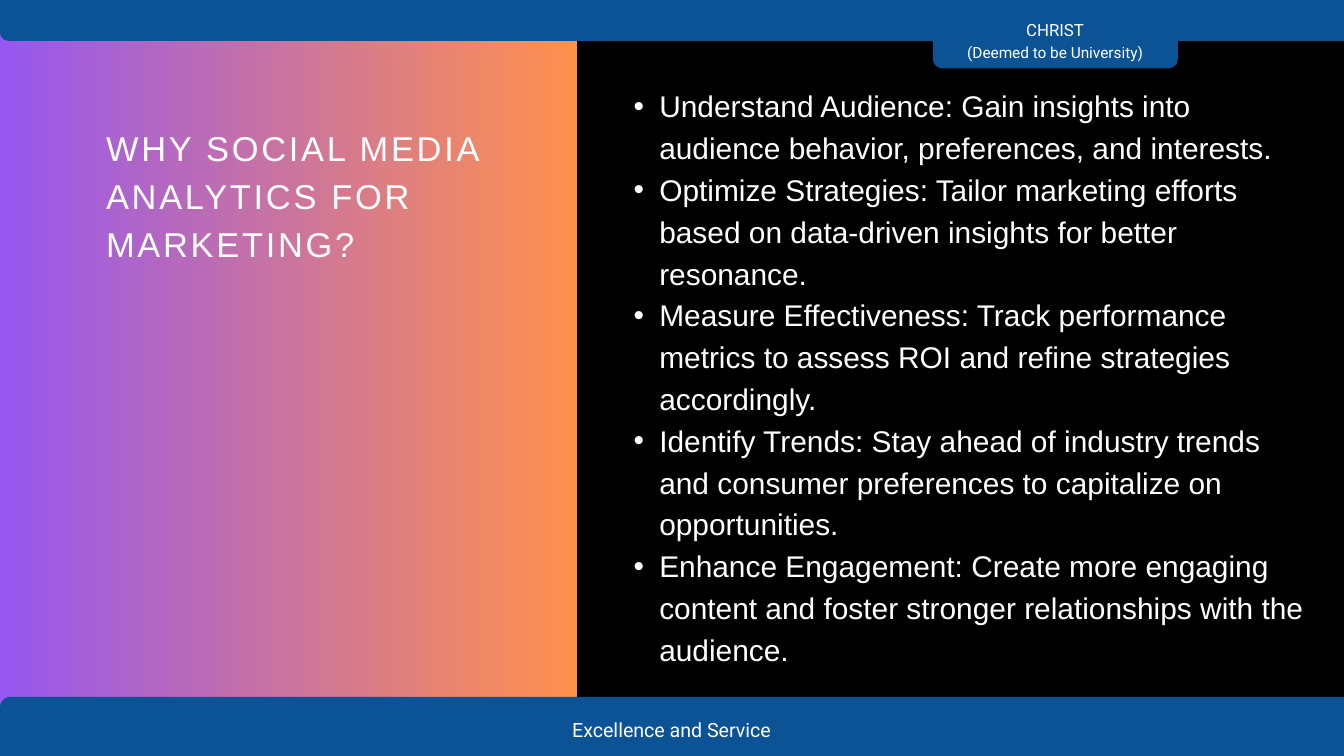
import pptx
import pptx.dml.color
import pptx.enum.shapes
import pptx.enum.text
import pptx.oxml
import pptx.oxml.ns
import pptx.util

Cm = pptx.util.Cm
Pt = pptx.util.Pt
SHAPES = pptx.enum.shapes.MSO_SHAPE
ALIGN = pptx.enum.text.PP_ALIGN

COLOURS = {
    "background": "000000",
    "band": "0B5394",
    "text": "FFFFFF",
    "gradient_start": "8C52FF",
    "gradient_end": "FF914D",
}

REASONS = [
    "Understand Audience: Gain insights into audience behavior, preferences, and interests.",
    "Optimize Strategies: Tailor marketing efforts based on data-driven insights for better resonance.",
    "Measure Effectiveness: Track performance metrics to assess ROI and refine strategies accordingly.",
    "Identify Trends: Stay ahead of industry trends and consumer preferences to capitalize on opportunities.",
    "Enhance Engagement: Create more engaging content and foster stronger relationships with the audience.",
]


def colour(name):
    return pptx.dml.color.RGBColor.from_string(COLOURS[name])


def add_plain_shape(page, kind, box):
    shape = page.shapes.add_shape(kind, *[Cm(length) for length in box])
    shape.shadow.inherit = False
    shape.line.fill.background()
    return shape


def add_band(page, box, top_radius=0, bottom_radius=0):
    band = add_plain_shape(page, SHAPES.ROUND_2_SAME_RECTANGLE, box)
    band.adjustments[0] = top_radius / box[3]
    band.adjustments[1] = bottom_radius / box[3]
    band.fill.solid()
    band.fill.fore_color.rgb = colour("band")


def add_bullet(para):
    properties = para._p.get_or_add_pPr()
    properties.set("marL", str(Cm(1.93)))
    properties.set("indent", str(-Cm(0.97)))
    for tag, name, value in (("a:buFont", "typeface", "Arial"), ("a:buChar", "char", "•")):
        element = pptx.oxml.parse_xml(f"<{tag} {pptx.oxml.ns.nsdecls('a')}/>")
        element.set(name, value)
        properties.append(element)


def add_text(page, box, lines, font, align=ALIGN.LEFT, bullets=False, tracking=0):
    frame = page.shapes.add_textbox(*[Cm(length) for length in box]).text_frame
    frame.word_wrap = True
    frame.margin_left = frame.margin_right = frame.margin_top = frame.margin_bottom = 0
    for index, (words, size, spacing) in enumerate(lines):
        para = frame.add_paragraph() if index else frame.paragraphs[0]
        para.text = words
        para.alignment = align
        para.line_spacing = Pt(spacing)
        if bullets:
            add_bullet(para)
        for span in para.runs:
            span.font.name = font
            span.font.size = Pt(size)
            span.font.color.rgb = colour("text")
            if tracking:
                span.font._element.set("spc", str(round(tracking * 100)))


def add_title_panel(page, box):
    left, top, width, height = box
    panel = add_plain_shape(page, SHAPES.RECTANGLE, box)
    panel.fill.gradient()
    panel.fill.gradient_angle = 0
    for stop, name in zip(panel.fill.gradient_stops, ("gradient_start", "gradient_end")):
        stop.color.rgb = colour(name)
    panel.fill.gradient_stops[0].position = 0
    panel.fill.gradient_stops[1].position = 1
    add_text(page, (left + 6.07, top + 6.07, 14.91, 5.33),
             [("WHY SOCIAL MEDIA ANALYTICS FOR MARKETING?", 36.9, 51.6)], "Arial", tracking=2.9)


def add_header(page, box):
    left, top, width, height = box
    tab_left = left + 35.26
    add_band(page, (tab_left, top + 0.56, 9.26, 2.64), bottom_radius=0.36)
    add_band(page, box, bottom_radius=0.33)
    add_text(page, (tab_left + 1.04, top + 1.19, 7.16, 1.27),
             [("CHRIST", 18, 25.9), ("(Deemed to be University)", 16.5, 23.8)],
             "Roboto", ALIGN.CENTER)


def add_footer(page, box):
    left, top, width, height = box
    add_band(page, box, top_radius=0.4)
    add_text(page, (left + 20.62, top + 0.79, 9.53, 0.51),
             [("Excellence and Service", 21, 25.2)], "Roboto", ALIGN.CENTER)


def add_reasons(page, box):
    add_text(page, box, [(reason, 32, 44.8) for reason in REASONS], "Arial", bullets=True)


def main():
    deck = pptx.Presentation()
    deck.slide_width = Cm(50.8)
    deck.slide_height = Cm(28.575)
    page = deck.slides.add_slide(deck.slide_layouts[6])
    page.background.fill.solid()
    page.background.fill.fore_color.rgb = colour("background")
    add_title_panel(page, (-2.06, -1.52, 23.88, 31.9))
    add_footer(page, (0, 26.34, 51.86, 2.28))
    add_header(page, (0, -0.61, 51.86, 2.16))
    add_reasons(page, (22.99, 3.1, 26.67, 23.37))
    deck.save("out.pptx")


if __name__ == "__main__":
    main()
